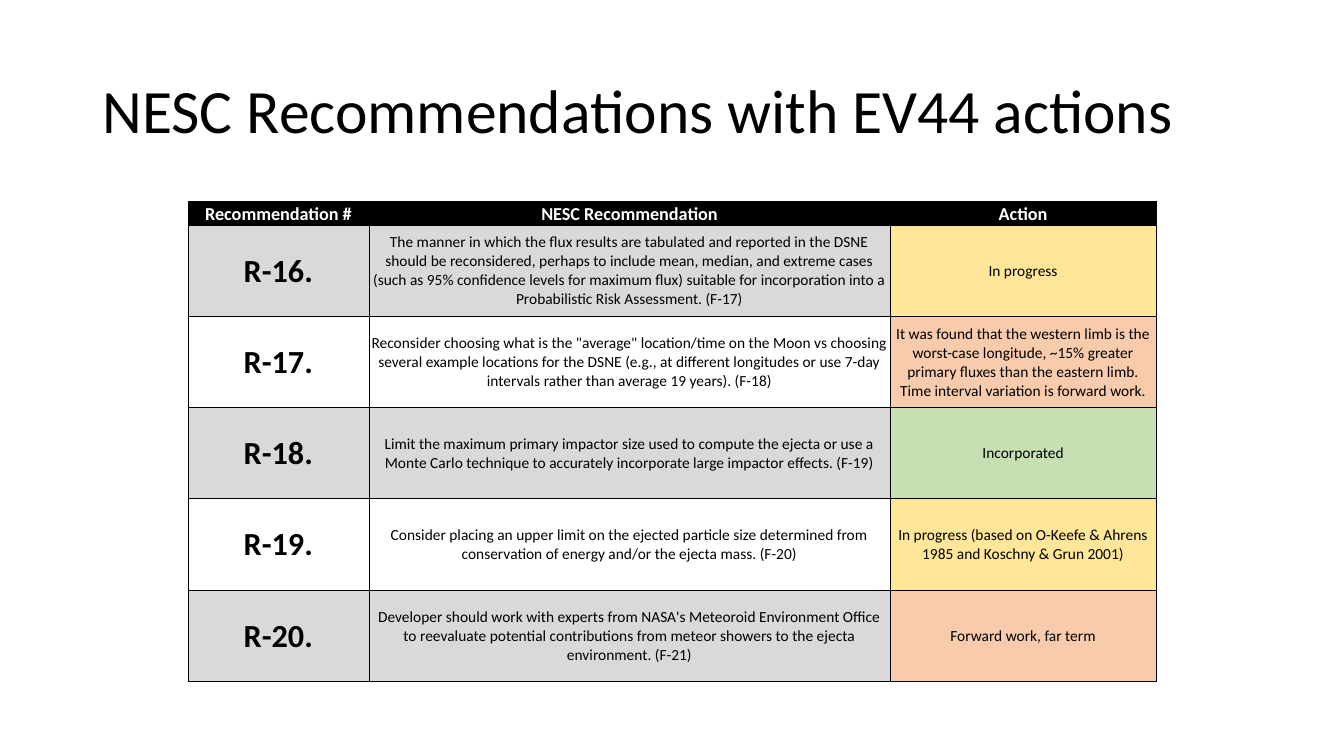
from dataclasses import dataclass

from lxml import etree
from pptx import Presentation
from pptx.dml.color import RGBColor
from pptx.enum import text
from pptx.oxml import ns
from pptx.util import Pt


@dataclass(frozen=True)
class Theme:
    font: str = "Calibri"
    black: str = "000000"
    white: str = "FFFFFF"
    grey: str = "D9D9D9"
    amber: str = "FFE699"
    peach: str = "F8CBAD"
    green: str = "C6E0B4"
    title: float = 44
    code: float = 23
    head: float = 13
    body: float = 11
    rule: float = 0.5


T = Theme()
HEADS = ("Recommendation #", "NESC Recommendation", "Action")
ITEMS = (
    ("R-16.",
     "The manner in which the flux results are tabulated and reported in the DSNE "
     "should be reconsidered, perhaps to include mean, median, and extreme cases "
     "(such as 95% confidence levels for maximum flux) suitable for incorporation "
     "into a Probabilistic Risk Assessment. (F-17)",
     "In progress", T.amber),
    ("R-17.",
     'Reconsider choosing what is the "average" location/time on the Moon vs '
     "choosing several example locations for the DSNE (e.g., at different longitudes "
     "or use 7-day intervals rather than average 19 years). (F-18)",
     "It was found that the western limb is the worst-case longitude, ~15% greater "
     "primary fluxes than the eastern limb. Time interval variation is forward work.",
     T.peach),
    ("R-18.",
     "Limit the maximum primary impactor size used to compute the ejecta or use a "
     "Monte Carlo technique to accurately incorporate large impactor effects. (F-19)",
     "Incorporated", T.green),
    ("R-19.",
     "Consider placing an upper limit on the ejected particle size determined from "
     "conservation of energy and/or the ejecta mass. (F-20)",
     "In progress (based on O-Keefe & Ahrens 1985 and Koschny & Grun 2001)", T.amber),
    ("R-20.",
     "Developer should work with experts from NASA's Meteoroid Environment Office to "
     "reevaluate potential contributions from meteor showers to the ejecta "
     "environment. (F-21)",
     "Forward work, far term", T.peach),
)


def write(frame, words, size=T.body, color=T.black, bold=False,
          align=text.PP_ALIGN.CENTER, pitch=None):
    para = frame.paragraphs[0]
    para.alignment = align
    para.line_spacing = pitch
    run = para.add_run()
    run.text = words
    font = run.font
    font.name, font.size, font.bold = T.font, Pt(size), bold
    font.color.rgb = RGBColor.from_string(color)


def border(cell):
    props = cell._tc.get_or_add_tcPr()
    for side in ("lnL", "lnR", "lnT", "lnB"):
        line = etree.SubElement(props, ns.qn(f"a:{side}"), w=str(Pt(T.rule)))
        fill = etree.SubElement(line, ns.qn("a:solidFill"))
        etree.SubElement(fill, ns.qn("a:srgbClr"), val=T.black)


def fill_cell(cell, words, fill, anchor=text.MSO_ANCHOR.MIDDLE, **style):
    border(cell)
    cell.fill.solid()
    cell.fill.fore_color.rgb = RGBColor.from_string(fill)
    cell.margin_left = cell.margin_right = cell.margin_top = Pt(0.75)
    cell.margin_bottom = 0
    cell.vertical_anchor = anchor
    write(cell.text_frame, words, **style)


def add_title(slide, words, left, top, width, height):
    title = slide.shapes.title
    title.left, title.top = Pt(left), Pt(top)
    title.width, title.height = Pt(width), Pt(height)
    title.text_frame.vertical_anchor = text.MSO_ANCHOR.MIDDLE
    write(title.text_frame, words, size=T.title,
          align=text.PP_ALIGN.LEFT, pitch=0.9)


def add_grid(slide, left, top, width, height, head=16.7):
    """Draw the table: a header row, then equal rows sharing the rest of the box."""
    grid = slide.shapes.add_table(len(ITEMS) + 1, len(HEADS), Pt(left), Pt(top),
                                  Pt(width), Pt(height)).table
    grid.horz_banding = False
    for col, share in zip(grid.columns, (0.187, 0.538, 0.275)):
        col.width = Pt(width * share)
    for row in grid.rows:
        row.height = Pt((height - head) / len(ITEMS))
    grid.rows[0].height = Pt(head)
    for cell, words in zip(grid.rows[0].cells, HEADS):
        fill_cell(cell, words, T.black, anchor=text.MSO_ANCHOR.BOTTOM,
                  size=T.head, color=T.white, bold=True)
    for num, (code, advice, action, tint) in enumerate(ITEMS, 1):
        band = T.grey if num % 2 else T.white
        fill_cell(grid.cell(num, 0), code, band, size=T.code, bold=True)
        fill_cell(grid.cell(num, 1), advice, band)
        fill_cell(grid.cell(num, 2), action, tint)


def main():
    deck = Presentation()
    deck.slide_width, deck.slide_height = Pt(960), Pt(540)
    slide = deck.slides.add_slide(deck.slide_layouts[5])
    add_title(slide, "NESC Recommendations with EV44 actions", 66, 28.75, 828, 104.4)
    add_grid(slide, 134.2, 144, 691.7, 342.7)
    deck.save("out.pptx")


if __name__ == "__main__":
    main()
